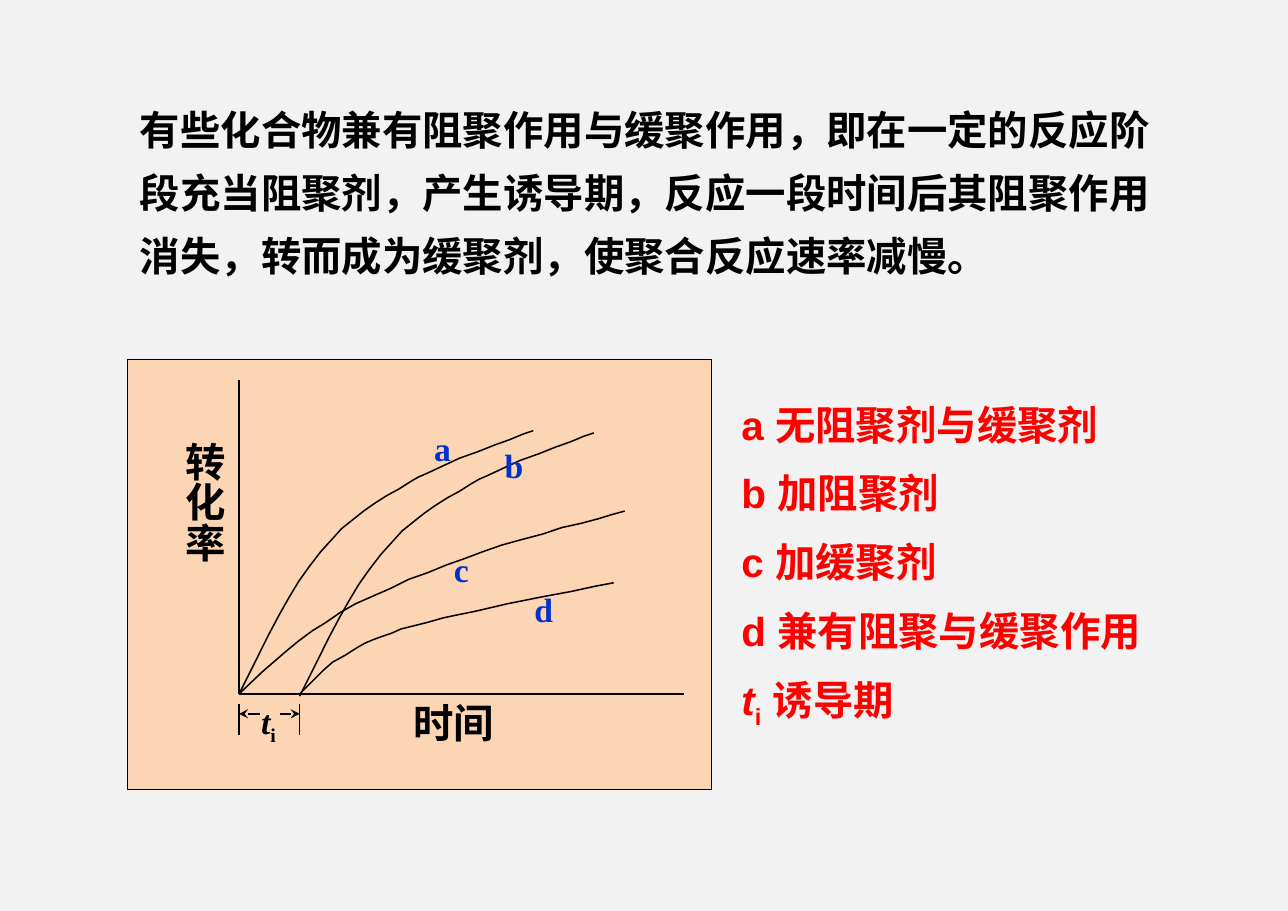
from pptx import Presentation
from pptx.dml.color import RGBColor
from pptx.enum.shapes import MSO_CONNECTOR, MSO_SHAPE
from pptx.enum.text import MSO_ANCHOR, MSO_AUTO_SIZE, PP_ALIGN
from pptx.oxml.ns import qn
from pptx.util import Inches, Pt
from lxml import etree

BACKGROUND = RGBColor(0xF2, 0xF2, 0xF2)
PANEL = RGBColor(0xFC, 0xD5, 0xB5)
BLACK = RGBColor(0, 0, 0)
RED = RGBColor(0xFF, 0, 0)
BLUE = RGBColor(0, 0x33, 0xCC)

HEADING_FONT = {"name": "Arial", "size": Pt(26.4), "bold": True}
LABEL_FONT = {"name": "Times New Roman", "size": Pt(22), "bold": True}
FRAME = {"word_wrap": True, "auto_size": MSO_AUTO_SIZE.NONE,
         "vertical_anchor": MSO_ANCHOR.TOP,
         "margin_left": Inches(0.11), "margin_right": Inches(0.11),
         "margin_top": Inches(0.06), "margin_bottom": Inches(0.06)}


def set_text(sp, box, lines, font, color):
    """Place a text shape; each line is a list of (text, extra font values, baseline)."""
    sp.left, sp.top, sp.width, sp.height = [Inches(v) for v in box]
    tf = sp.text_frame
    for name, value in FRAME.items():
        setattr(tf, name, value)
    for i, line in enumerate(lines):
        p = tf.paragraphs[0] if i == 0 else tf.add_paragraph()
        p.alignment = PP_ALIGN.LEFT
        p.space_before = Pt(13.25 if i else 0)
        for text, extra, baseline in line:
            r = p.add_run()
            r.text = text
            for name, value in {**font, **extra}.items():
                setattr(r.font, name, value)
            r.font.color.rgb = color
            if baseline:
                r.font._element.set("baseline", str(baseline))
    return tf


def add_line(shapes, x1, y1, x2, y2, arrow=False):
    c = shapes.add_connector(MSO_CONNECTOR.STRAIGHT, *[Inches(v) for v in (x1, y1, x2, y2)])
    c.line.color.rgb = BLACK
    c.line.width = Pt(1)
    if arrow:
        etree.SubElement(c.line._get_or_add_ln(), qn("a:tailEnd"), type="stealth")
    etree.SubElement(c._element.spPr, qn("a:effectLst"))


prs = Presentation()
prs.slide_width, prs.slide_height = Inches(11.69), Inches(8.27)
s = prs.slides.add_slide(prs.slide_layouts[1])
s.background.fill.solid()
s.background.fill.fore_color.rgb = BACKGROUND

# Statement at the top
statement = ("有些化合物兼有阻聚作用与缓聚作用，即在一定的反应阶段充当阻聚剂，"
             "产生诱导期，反应一段时间后其阻聚作用消失，转而成为缓聚剂，"
             "使聚合反应速率减慢。")
tf = set_text(s.shapes.title, (1.16, 0.76, 9.58, 1.77), [[(statement, {}, 0)]],
              HEADING_FONT, BLACK)
tf.paragraphs[0].line_spacing = 1.3

# Legend list on the right
legend = [[(text, {}, 0)] for text in
          ("a 无阻聚剂与缓聚剂", "b 加阻聚剂", "c 加缓聚剂", "d 兼有阻聚与缓聚作用")]
legend.append([("t", {"italic": True}, 0), ("i", {}, -25000), (" 诱导期", {}, 0)])
tf = set_text(s.placeholders[1], (6.62, 3.57, 4.3, 3.23), legend, HEADING_FONT, RED)
for p in tf.paragraphs:
    pPr = p._p.get_or_add_pPr()
    pPr.set("marL", "0")
    pPr.set("indent", "0")
    etree.SubElement(pPr, qn("a:buNone"))

# Diagram panel
diagram = s.shapes.add_group_shape().shapes
sp = diagram.add_shape(MSO_SHAPE.RECTANGLE, Inches(1.16), Inches(3.26), Inches(5.3), Inches(3.91))
sp.shadow.inherit = False
sp.fill.solid()
sp.fill.fore_color.rgb = PANEL
sp.line.color.rgb = BLACK
sp.line.width = Pt(0.75)

# Axes, starting at the origin; the induction period ends at X_IND
X0, Y0, X_IND = 2.17, 6.3, 2.72
add_line(diagram, X0, 3.45, X0, Y0)
add_line(diagram, X0, Y0, 6.21, Y0)

# Conversion curves; b is a moved right by the induction period
curve_a = [(2.17, 6.3), (2.35, 5.94), (2.44, 5.76), (2.53, 5.59), (2.62, 5.43), (2.71, 5.28),
           (2.81, 5.14), (2.91, 5.01), (3.01, 4.9), (3.1, 4.8), (3.2, 4.72), (3.3, 4.64),
           (3.4, 4.57), (3.51, 4.5), (3.62, 4.44), (3.73, 4.37), (3.8, 4.33), (3.87, 4.3),
           (4.02, 4.23), (4.17, 4.16), (4.34, 4.1), (4.49, 4.04), (4.63, 3.99), (4.75, 3.94),
           (4.84, 3.91)]
curve_b = [(x + X_IND - X0, y + 0.02) for x, y in curve_a]
curve_c = [(2.17, 6.3), (2.38, 6.1), (2.6, 5.91), (2.71, 5.82), (2.83, 5.73), (2.96, 5.65),
           (3.09, 5.56), (3.23, 5.48), (3.39, 5.41), (3.55, 5.34), (3.71, 5.26), (3.88, 5.2),
           (4.05, 5.13), (4.22, 5.07), (4.38, 5.01), (4.55, 4.95), (4.73, 4.9), (4.92, 4.85),
           (5.1, 4.79), (5.28, 4.75), (5.43, 4.71), (5.56, 4.67), (5.67, 4.64)]
curve_d = [(2.72, 6.3), (2.79, 6.23), (2.86, 6.16), (2.94, 6.08), (3.02, 6.01), (3.13, 5.95),
           (3.24, 5.88), (3.31, 5.84), (3.38, 5.81), (3.46, 5.78), (3.55, 5.75), (3.64, 5.71),
           (3.76, 5.68), (3.88, 5.65), (4.02, 5.61), (4.16, 5.58), (4.31, 5.55), (4.61, 5.48),
           (4.91, 5.42), (5.18, 5.37), (5.41, 5.32), (5.57, 5.29)]
for curve in (curve_a, curve_b, curve_c, curve_d):
    start, *points = [(Inches(x), Inches(y)) for x, y in curve]
    fb = diagram.build_freeform(*start)
    fb.add_line_segments(points, close=False)
    sp = fb.convert_to_shape()
    sp.shadow.inherit = False
    sp.fill.background()
    sp.line.color.rgb = BLACK
    sp.line.width = Pt(1)

# Axis names, curve letters and the induction period
labels = [((3.64, 6.28, 1.75, 0.56), [("时间", {}, 0)], HEADING_FONT, BLACK, "horz"),
          ((1.51, 3.95, 0.67, 2.32), [("转化率", {}, 0)], HEADING_FONT, BLACK, "eaVert"),
          ((3.83, 3.82, 0.46, 0.48), [("a", {}, 0)], LABEL_FONT, BLUE, "horz"),
          ((4.47, 3.98, 0.64, 0.48), [("b", {}, 0)], LABEL_FONT, BLUE, "horz"),
          ((4.01, 4.92, 0.83, 0.48), [("c", {}, 0)], LABEL_FONT, BLUE, "horz"),
          ((4.74, 5.29, 0.64, 0.48), [("d", {}, 0)], LABEL_FONT, BLUE, "horz"),
          ((2.26, 6.3, 0.53, 0.48), [("t", {"italic": True}, 0), ("i", {}, -25000)],
           LABEL_FONT, BLACK, "horz")]
for box, line, font, color, direction in labels:
    sp = diagram.add_textbox(0, 0, 0, 0)
    set_text(sp, box, [line], font, color)
    sp._element.txBody.bodyPr.set("vert", direction)

# Induction period marks
for x, inner in ((X0, 2.36), (X_IND, 2.54)):
    add_line(diagram, x, 6.39, x, 6.67)
    add_line(diagram, inner, 6.48, x, 6.48, arrow=True)

prs.save("out.pptx")
